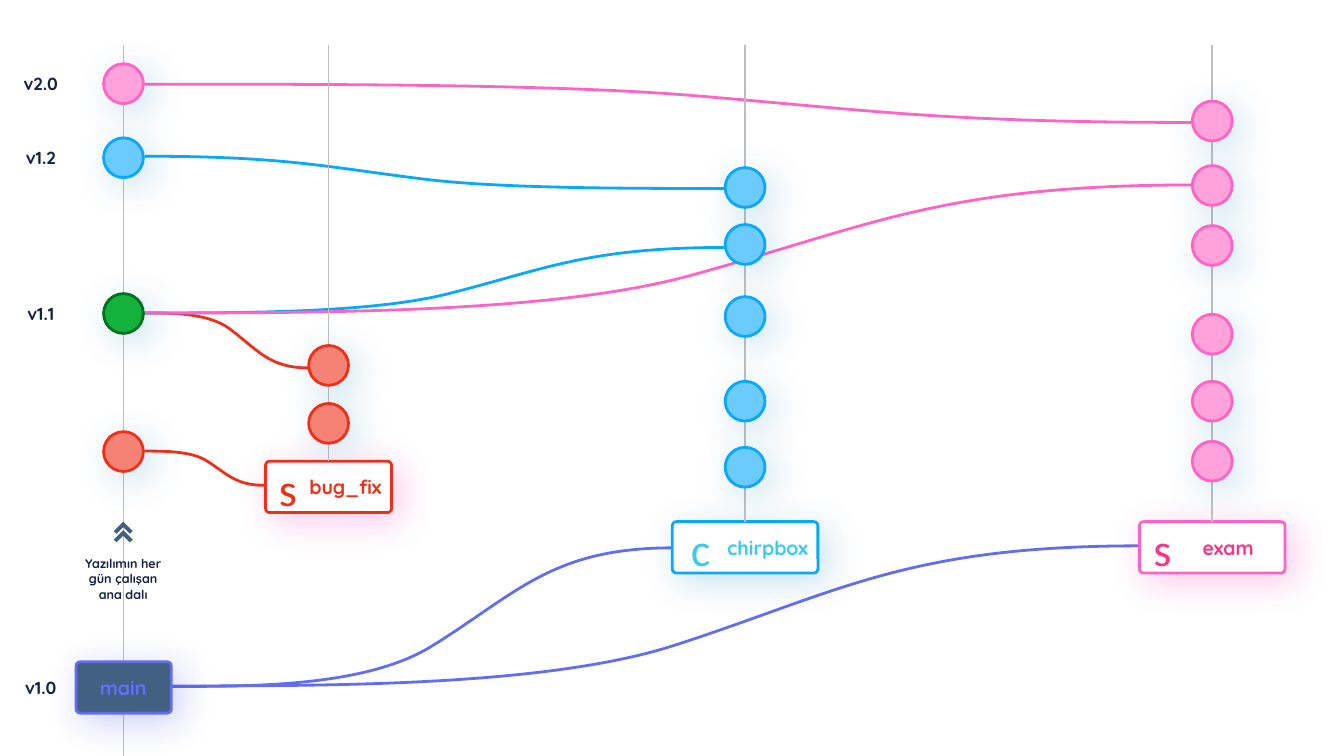
from dataclasses import dataclass

from lxml import etree
from pptx import Presentation
from pptx.dml.color import RGBColor
from pptx.enum.shapes import MSO_CONNECTOR, MSO_SHAPE
from pptx.enum.text import MSO_ANCHOR, PP_ALIGN
from pptx.oxml.ns import qn
from pptx.util import Inches, Pt

STRAIGHT = MSO_CONNECTOR.STRAIGHT
ELLIPSE, ROUND_RECT = MSO_SHAPE.OVAL, MSO_SHAPE.ROUNDED_RECTANGLE
MIDDLE, CENTER = MSO_ANCHOR.MIDDLE, PP_ALIGN.CENTER

COLS, ROWS = 26.67, 15
CELL = Inches(1)
NODE = 0.79
LABEL_H = 1.02
CURVE_X = (0.17, 0.39, 0.52, 0.69, 0.76, 1)
CURVE_Y = (0, 0, 0.29, 0.67, 1, 1)


@dataclass(frozen=True)
class Theme:
    font: str = "Quicksand"
    icon_font: str = "Calibri"
    name_pt: int = 28
    icon_pt: int = 66
    note_pt: int = 18
    version_pt: int = 25
    lane_pt: int = 2
    stroke_pt: int = 4
    white: str = "FFFFFF"
    ink: str = "172144"
    lane: str = "BFBFBF"
    slate: str = "426082"
    indigo: str = "626EEF"
    main_text: str = "6070FF"
    chat_text: str = "3BC8F1"
    exam_text: str = "FA3585"
    glow_blue: str = "047FBE"
    glow_pink: str = "FF0BA4"
    glow_indigo: str = "1729E5"
    red: tuple = ("F58375", "EE3019")
    blue: tuple = ("6BCBFC", "09A8FA")
    pink: tuple = ("FFA2DC", "FF64C5")
    green: tuple = ("13B23D", "00721E")


T = Theme()


def grid(*values):
    return [round(v * CELL) for v in values]


def add_glow(sp, color):
    effects = etree.SubElement(sp._element.spPr, qn("a:effectLst"))
    shadow = etree.SubElement(effects, qn("a:outerShdw"), blurRad=str(Pt(55)),
                              dist=str(Pt(15)), dir=str(45 * 60000),
                              algn="ctr", rotWithShape="0")
    clr = etree.SubElement(shadow, qn("a:srgbClr"), val=color)
    etree.SubElement(clr, qn("a:alpha"), val="22000")


def add_text(s, box, text, size, color, font=T.font, bold=True, wrap=True):
    tf = s.shapes.add_textbox(*grid(*box)).text_frame
    tf.word_wrap = wrap
    tf.vertical_anchor = MIDDLE
    p = tf.paragraphs[0]
    p.alignment = CENTER
    r = p.add_run()
    r.text = text
    r.font.name, r.font.size, r.font.bold = font, Pt(size), bold
    r.font.color.rgb = RGBColor.from_string(color)


def add_block(s, kind, box, fill, line, glow):
    sp = s.shapes.add_shape(kind, *grid(*box))
    sp.fill.solid()
    sp.fill.fore_color.rgb = RGBColor.from_string(fill)
    sp.line.color.rgb = RGBColor.from_string(line)
    sp.line.width = Pt(T.stroke_pt)
    add_glow(sp, glow)
    return sp


def add_node(s, x, y, colors):
    add_block(s, ELLIPSE, (x - NODE / 2, y - NODE / 2, NODE, NODE), *colors, T.glow_blue)


def add_label(s, box, name, name_span, color, line, glow, fill=T.white, icon=None, icon_x=0):
    x, y, w, h = box
    sp = add_block(s, ROUND_RECT, box, fill, line, glow)
    sp.adjustments[0] = 0.08
    left, width = name_span
    add_text(s, (x + left, y, width, h), name, T.name_pt, color, wrap=False)
    if icon:
        add_text(s, (x + icon_x, y - 0.08, 1.13, 1.21), icon, T.icon_pt, color,
                 font=T.icon_font, bold=False, wrap=False)
    return sp


def add_lane(s, x, top, bottom, label=None):
    c = s.shapes.add_connector(STRAIGHT, *grid(x, top, x, bottom))
    if label is not None:
        c.end_connect(label, 0)
    c.line.color.rgb = RGBColor.from_string(T.lane)
    c.line.width = Pt(T.lane_pt)
    etree.SubElement(c._element.spPr, qn("a:effectLst"))


def add_curve(s, start, end, color):
    (x0, y0), (x1, y1) = start, end
    points = [grid(x0 + fx * (x1 - x0), y0 + fy * (y1 - y0))
              for fx, fy in zip(CURVE_X, CURVE_Y)]
    builder = s.shapes.build_freeform(*grid(x0, y0))
    builder.add_line_segments(points, close=False)
    sp = builder.convert_to_shape()
    steps = list(sp._element.iter(qn("a:lnTo")))
    for i in range(0, len(steps), 3):
        bezier = etree.SubElement(steps[i].getparent(), qn("a:cubicBezTo"))
        for step in steps[i:i + 3]:
            bezier.append(step[0])
            step.getparent().remove(step)
    sp.fill.background()
    sp.line.color.rgb = RGBColor.from_string(color)
    sp.line.width = Pt(T.stroke_pt)
    sp.shadow.inherit = False


def add_note(s, box, text):
    x, y, w, h = box
    mid = x + w / 2
    builder = None
    for top in (y, y + 0.17):
        chevron = [grid(mid + dx, top + dy) for dx, dy in
                   ((0, 0), (0.19, 0.19), (0.13, 0.24), (0, 0.11), (-0.13, 0.24), (-0.19, 0.19))]
        if builder is None:
            builder = s.shapes.build_freeform(*chevron[0])
        else:
            builder.move_to(*chevron[0])
        builder.add_line_segments(chevron[1:], close=True)
    sp = builder.convert_to_shape()
    sp.fill.solid()
    sp.fill.fore_color.rgb = RGBColor.from_string(T.slate)
    sp.line.fill.background()
    sp.shadow.inherit = False
    add_text(s, (x, y + 0.63, w, h - 0.63), text, T.note_pt, T.ink)


def add_branch(s, box, top, nodes, colors, **label):
    x, y, w, h = box
    sp = add_label(s, box, line=colors[1], **label)
    add_lane(s, x + w / 2, top, y, sp)
    for node_y in nodes:
        add_node(s, x + w / 2, node_y, colors)


def add_trunk(s, x, top, bottom, versions):
    add_lane(s, x, top, bottom)
    for y, version, colors in versions:
        if colors:
            add_node(s, x, y, colors)
        if version:
            add_text(s, (0.18, y - 0.26, 1.26, 0.52), version, T.version_pt, T.ink)


def main():
    prs = Presentation()
    prs.slide_width, prs.slide_height = grid(COLS, ROWS)
    s = prs.slides.add_slide(prs.slide_layouts[6])

    trunk, right = 2.45, 2.87
    for start, end, color in (
        ((3.39, 13.61), (22.61, 10.83), T.indigo),
        ((3.39, 13.62), (13.34, 10.87), T.indigo),
        ((right, 8.95), (5.25, 9.63), T.red[1]),
        ((right, 6.21), (6.12, 7.3), T.red[1]),
        ((right, 6.21), (14.42, 4.91), T.blue[1]),
        ((right, 6.21), (23.65, 3.67), T.pink[1]),
        ((14.42, 3.74), (right, 3.1), T.blue[1]),
        ((right, 1.67), (23.65, 2.43), T.pink[1]),
    ):
        add_curve(s, start, end, color)

    add_trunk(s, trunk, 0.9, ROWS, (
        (1.66, "v2.0", T.pink), (3.13, "v1.2", T.blue), (6.22, "v1.1", T.green),
        (8.96, None, T.red), (13.64, "v1.0", None)))
    add_label(s, (1.51, 13.13, 1.89, LABEL_H), "main", (0.14, 1.59), T.main_text,
              T.indigo, T.glow_indigo, fill=T.slate)
    add_note(s, (1.46, 10.35, 1.97, 1.64), "Yazılımın her gün çalışan ana dalı")

    add_branch(s, (5.27, 9.15, 2.5, LABEL_H), 0.9, (7.25, 8.4), T.red, name="bug_fix",
               name_span=(0.76, 1.65), color=T.red[1], glow=T.glow_pink,
               icon="s", icon_x=-0.12)
    add_branch(s, (13.34, 10.35, 2.89, LABEL_H), 0.9, (3.72, 4.85, 6.28, 7.96, 9.27), T.blue,
               name="chirpbox", name_span=(0.93, 1.93), color=T.chat_text, glow=T.glow_blue,
               icon="c")
    add_branch(s, (22.61, 10.35, 2.89, LABEL_H), 0.9, (2.4, 3.68, 4.87, 6.63, 7.96, 9.15), T.pink,
               name="exam", name_span=(0.76, 2), color=T.exam_text, glow=T.glow_pink,
               icon="s", icon_x=-0.11)

    prs.save("out.pptx")


if __name__ == "__main__":
    main()
